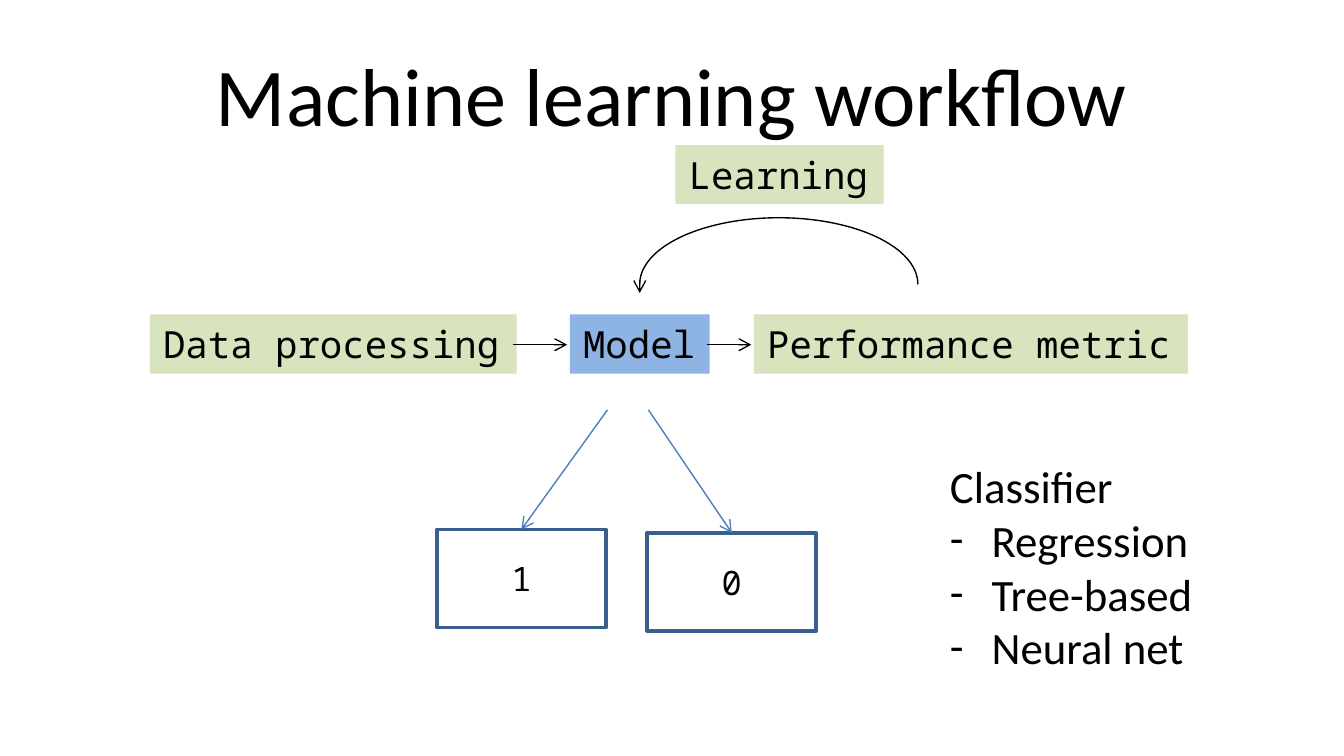
from dataclasses import dataclass

from lxml.etree import SubElement
from pptx import Presentation
from pptx.dml.color import RGBColor
from pptx.enum.shapes import MSO_CONNECTOR, MSO_SHAPE
from pptx.enum.text import MSO_ANCHOR, MSO_AUTO_SIZE, PP_ALIGN
from pptx.oxml.ns import qn
from pptx.shapes.autoshape import Shape
from pptx.shapes.connector import Connector
from pptx.slide import Slide
from pptx.text.text import _Paragraph
from pptx.util import Emu, Pt

PX_PER_INCH = 200
EMU_PER_PX = 914400 // PX_PER_INCH

BLACK = RGBColor(0x00, 0x00, 0x00)
GREEN = RGBColor(0xD7, 0xE4, 0xBD)
BLUE = RGBColor(0x8E, 0xB4, 0xE3)
BRANCH_BLUE = RGBColor(0x4B, 0x7E, 0xBC)
BORDER_BLUE = RGBColor(0x3A, 0x5F, 0x8C)

SANS = "Calibri"
MONO = "Noto Sans Mono"


@dataclass(frozen=True)
class Step:
    text: str
    left: int
    top: int
    width: int
    color: RGBColor


@dataclass(frozen=True)
class Outcome:
    text: str
    left: int
    top: int
    branch_start: int


@dataclass(frozen=True)
class Arrow:
    start: tuple[int, int]
    end: tuple[int, int]
    color: RGBColor = BLACK


STEP_TOP, STEP_HEIGHT = 468, 88
FLOW_Y = 513
STEPS = [
    Step("Data processing", 223, STEP_TOP, 546, GREEN),
    Step("Model", 848, STEP_TOP, 208, BLUE),
    Step("Performance metric", 1122, STEP_TOP, 646, GREEN),
    Step("Learning", 1005, 216, 310, GREEN),
]
OUTCOME_WIDTH, OUTCOME_HEIGHT = 252, 146
BRANCH_TOP = 610
OUTCOMES = [Outcome("0", 963, 793, 965), Outcome("1", 650, 788, 904)]
ARROWS = [
    Arrow((764, FLOW_Y), (844, FLOW_Y)),
    Arrow((1052, FLOW_Y), (1118, FLOW_Y)),
    Arrow((952, 422), (952, 436)),
]
CLASSIFIERS = ["Regression", "Tree-based", "Neural net"]
BULLET_INDENT = 62


def px(length: int) -> Emu:
    """Turn px into EMU."""
    return Emu(length * EMU_PER_PX)


def add_text(paragraph: _Paragraph, text: str, font: str, size: int) -> None:
    """Add one black run to a paragraph."""
    run = paragraph.add_run()
    run.text = text
    run.font.name = font
    run.font.size = Pt(size)
    run.font.color.rgb = BLACK


def add_fitted_box(slide: Slide, left: int, top: int, width: int, height: int) -> Shape:
    """Add a text box that fits its unwrapped text."""
    box = slide.shapes.add_textbox(px(left), px(top), px(width), px(height))
    box.text_frame.word_wrap = False
    box.text_frame.auto_size = MSO_AUTO_SIZE.SHAPE_TO_FIT_TEXT
    return box


def add_step(slide: Slide, step: Step) -> None:
    """Add a filled label for a workflow step."""
    box = add_fitted_box(slide, step.left, step.top, step.width, STEP_HEIGHT)
    box.fill.solid()
    box.fill.fore_color.rgb = step.color
    add_text(box.text_frame.paragraphs[0], step.text, MONO, 20)


def add_arrow(slide: Slide, arrow: Arrow) -> Connector:
    """Add a thin straight line with an open arrowhead."""
    line = slide.shapes.add_connector(
        MSO_CONNECTOR.STRAIGHT, *map(px, arrow.start + arrow.end)
    )
    line.line.color.rgb = arrow.color
    line.line.width = Pt(0.75)
    SubElement(line.line._get_or_add_ln(), qn("a:tailEnd"), type="arrow")
    SubElement(line._element.spPr, qn("a:effectLst"))
    return line


def add_outcome(slide: Slide, outcome: Outcome) -> None:
    """Add an outlined outcome and the branch that leads to it."""
    box = slide.shapes.add_shape(
        MSO_SHAPE.RECTANGLE, px(outcome.left), px(outcome.top),
        px(OUTCOME_WIDTH), px(OUTCOME_HEIGHT),
    )
    box.shadow.inherit = False
    box.fill.background()
    box.line.color.rgb = BORDER_BLUE
    box.line.width = Pt(2)
    box.text_frame.vertical_anchor = MSO_ANCHOR.MIDDLE
    label = box.text_frame.paragraphs[0]
    label.alignment = PP_ALIGN.CENTER
    add_text(label, outcome.text, MONO, 18)
    top_middle = (outcome.left + OUTCOME_WIDTH // 2, outcome.top)
    branch = add_arrow(
        slide, Arrow((outcome.branch_start, BRANCH_TOP), top_middle, BRANCH_BLUE)
    )
    branch.end_connect(box, 0)


def add_learning_loop(slide: Slide) -> None:
    """Add the half ellipse from the metric back to the model."""
    loop = slide.shapes.add_shape(MSO_SHAPE.ARC, px(952), px(324), px(414), px(198))
    loop.adjustments[0] = 108
    loop.adjustments[1] = 0
    loop.shadow.inherit = False
    loop.fill.background()
    loop.line.color.rgb = BLACK
    loop.line.width = Pt(0.75)


def add_classifiers(slide: Slide) -> None:
    """Add the dashed list of classifiers."""
    frame = add_fitted_box(slide, 1394, 673, 408, 344).text_frame
    add_text(frame.paragraphs[0], "Classifier", SANS, 24)
    for classifier in CLASSIFIERS:
        item = frame.add_paragraph()
        properties = item._p.get_or_add_pPr()
        properties.set("marL", str(px(BULLET_INDENT)))
        properties.set("indent", str(px(-BULLET_INDENT)))
        SubElement(properties, qn("a:buFont"), typeface=SANS)
        SubElement(properties, qn("a:buChar"), char="-")
        add_text(item, classifier, SANS, 24)


def add_title(slide: Slide) -> None:
    """Place and fill the slide title."""
    title = slide.shapes.title
    title.left, title.top, title.width, title.height = map(px, (100, 45, 1800, 188))
    title.text_frame.vertical_anchor = MSO_ANCHOR.MIDDLE
    heading = title.text_frame.paragraphs[0]
    heading.alignment = PP_ALIGN.CENTER
    add_text(heading, "Machine learning workflow", SANS, 44)


def main() -> None:
    """Build and save the slide."""
    presentation = Presentation()
    presentation.slide_width, presentation.slide_height = px(2000), px(1125)
    slide = presentation.slides.add_slide(presentation.slide_layouts[5])
    add_title(slide)
    for outcome in OUTCOMES:
        add_outcome(slide, outcome)
    for step in STEPS:
        add_step(slide, step)
    add_learning_loop(slide)
    for arrow in ARROWS:
        add_arrow(slide, arrow)
    add_classifiers(slide)
    presentation.save("out.pptx")


if __name__ == "__main__":
    main()
